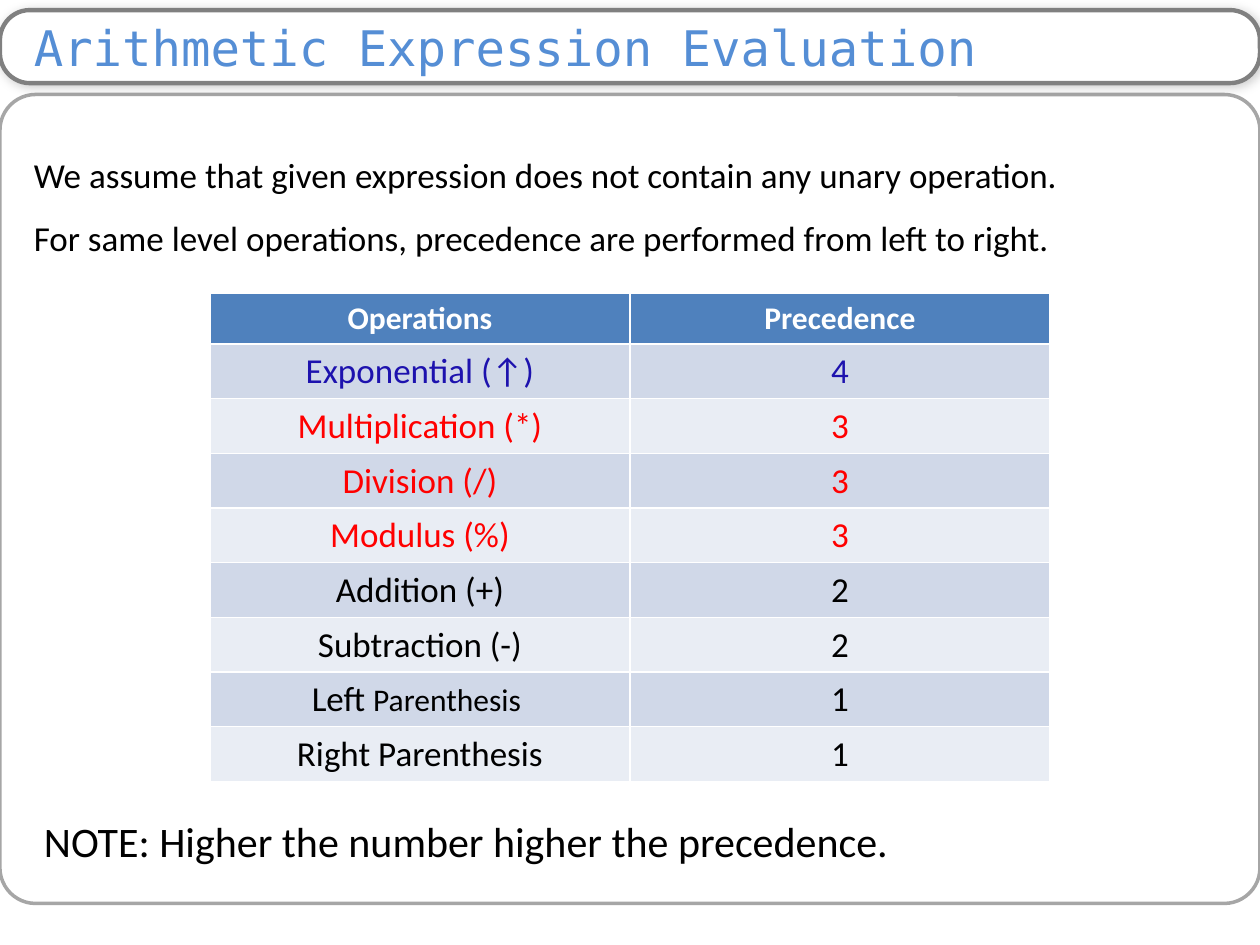
from lxml import etree
from pptx import Presentation
from pptx.dml.color import RGBColor
from pptx.enum.shapes import MSO_SHAPE
from pptx.enum.text import MSO_ANCHOR, PP_ALIGN
from pptx.oxml.ns import qn
from pptx.util import Inches, Pt

ROUNDED = MSO_SHAPE.ROUNDED_RECTANGLE
MIDDLE, TOP = MSO_ANCHOR.MIDDLE, MSO_ANCHOR.TOP
LEFT, CENTER = PP_ALIGN.LEFT, PP_ALIGN.CENTER

BLACK = RGBColor(0x00, 0x00, 0x00)
WHITE = RGBColor(0xFF, 0xFF, 0xFF)
RED = RGBColor(0xFF, 0x00, 0x00)
INDIGO = RGBColor(0x1D, 0x12, 0xAE)
TITLE_BLUE = RGBColor(0x55, 0x8E, 0xD5)
HEADER_BLUE = RGBColor(0x4F, 0x81, 0xBD)
BAND_DARK = RGBColor(0xD0, 0xD8, 0xE8)
BAND_LIGHT = RGBColor(0xE9, 0xED, 0xF4)
TITLE_BORDER = RGBColor(0x80, 0x80, 0x80)
BODY_BORDER = RGBColor(0xA6, 0xA6, 0xA6)

BODY_FONT, TITLE_FONT = "Calibri", "DejaVu Sans Mono"
SLIDE_WIDTH, SLIDE_HEIGHT = 10, 7.5
HEADER_HEIGHT, ROW_HEIGHT = 0.4, 0.43

STATEMENTS = [
    "We assume that given expression does not contain any unary operation.",
    "For same level operations, precedence are performed from left to right.",
]
HEADINGS = ["Operations", "Precedence"]
# Each operation is a list of (text, size) spans.
OPERATIONS = [
    ([("Exponential (↑)", 20)], "4", INDIGO),
    ([("Multiplication (*)", 20)], "3", RED),
    ([("Division (/)", 20)], "3", RED),
    ([("Modulus (%)", 20)], "3", RED),
    ([("Addition (+)", 20)], "2", BLACK),
    ([("Subtraction (-)", 20)], "2", BLACK),
    ([("Left ", 20), ("Parenthesis ", 18)], "1", BLACK),
    ([("Right Parenthesis", 20)], "1", BLACK),
]


def inches(box):
    return [Inches(length) for length in box]


def write(para, text, size=20, font=BODY_FONT, color=BLACK, bold=False,
          align=LEFT, line_spacing=None):
    """Append text to the paragraph as one formatted span."""
    para.alignment = align
    if line_spacing:
        para.line_spacing = line_spacing
    span = para.add_run()
    span.text = text
    span.font.size = Pt(size)
    span.font.name = font
    span.font.color.rgb = color
    span.font.bold = bold


def add_frame(page, box, corner, border, width):
    frame = page.shapes.add_shape(ROUNDED, *inches(box))
    frame.adjustments[0] = corner
    frame.shadow.inherit = False
    frame.fill.background()
    frame.line.color.rgb = border
    frame.line.width = Pt(width)
    return frame


def add_soft_shadow(shape):
    effects = shape._element.spPr.find(qn("a:effectLst"))
    shadow = etree.SubElement(effects, qn("a:outerShdw"), blurRad=str(Pt(6)),
                              dist=str(Pt(1)), dir="2700000", rotWithShape="0")
    color = etree.SubElement(shadow, qn("a:srgbClr"), val=str(BLACK))
    etree.SubElement(color, qn("a:alpha"), val="20000")


def add_title(page, box, text):
    bar = add_frame(page, box, 0.409, TITLE_BORDER, 2.5)
    bar.fill.solid()
    bar.fill.fore_color.rgb = WHITE
    add_soft_shadow(bar)
    frame = bar.text_frame
    frame.vertical_anchor = MIDDLE
    frame.margin_left, frame.margin_right = Inches(0.2), Inches(0.1)
    frame.margin_top = frame.margin_bottom = 0
    write(frame.paragraphs[0], text, size=28, font=TITLE_FONT, color=TITLE_BLUE)


def add_lines(page, box, lines, **style):
    """Place a text box with one paragraph for each line."""
    frame = page.shapes.add_textbox(*inches(box)).text_frame
    frame.word_wrap = True
    frame.vertical_anchor = TOP
    for index, line in enumerate(lines):
        para = frame.add_paragraph() if index else frame.paragraphs[0]
        write(para, line, **style)


def fill_cell(cell, spans, fill, **style):
    cell.fill.solid()
    cell.fill.fore_color.rgb = fill
    for text, size in spans:
        write(cell.text_frame.paragraphs[0], text, size=size, align=CENTER, **style)


def add_precedence_table(page, box):
    table = page.shapes.add_table(len(OPERATIONS) + 1, len(HEADINGS), *inches(box)).table
    for row in table.rows:
        row.height = Inches(ROW_HEIGHT)
    table.rows[0].height = Inches(HEADER_HEIGHT)
    for column, heading in enumerate(HEADINGS):
        fill_cell(table.cell(0, column), [(heading, 18)], HEADER_BLUE,
                  color=WHITE, bold=True)
    for row, (operation, precedence, color) in enumerate(OPERATIONS, start=1):
        band = BAND_DARK if row % 2 else BAND_LIGHT
        fill_cell(table.cell(row, 0), operation, band, color=color)
        fill_cell(table.cell(row, 1), [(precedence, 20)], band, color=color)


def main():
    deck = Presentation()
    deck.slide_width, deck.slide_height = Inches(SLIDE_WIDTH), Inches(SLIDE_HEIGHT)
    page = deck.slides.add_slide(deck.slide_layouts[6])

    add_frame(page, (0, 0.75, SLIDE_WIDTH, 6.42), 0.044, BODY_BORDER, 2)
    add_title(page, (0, 0.08, SLIDE_WIDTH, 0.58), "Arithmetic Expression Evaluation")
    add_lines(page, (0.17, 1, 9.67, 1.15), STATEMENTS, line_spacing=1.5)

    table_width = SLIDE_WIDTH * 2 / 3
    table_height = HEADER_HEIGHT + ROW_HEIGHT * len(OPERATIONS)
    add_precedence_table(
        page, ((SLIDE_WIDTH - table_width) / 2, 2.33, table_width, table_height))
    add_lines(page, (0.25, 6.42, 8.42, 0.5),
              ["NOTE: Higher the number higher the precedence."], size=24)
    deck.save("out.pptx")


if __name__ == "__main__":
    main()
